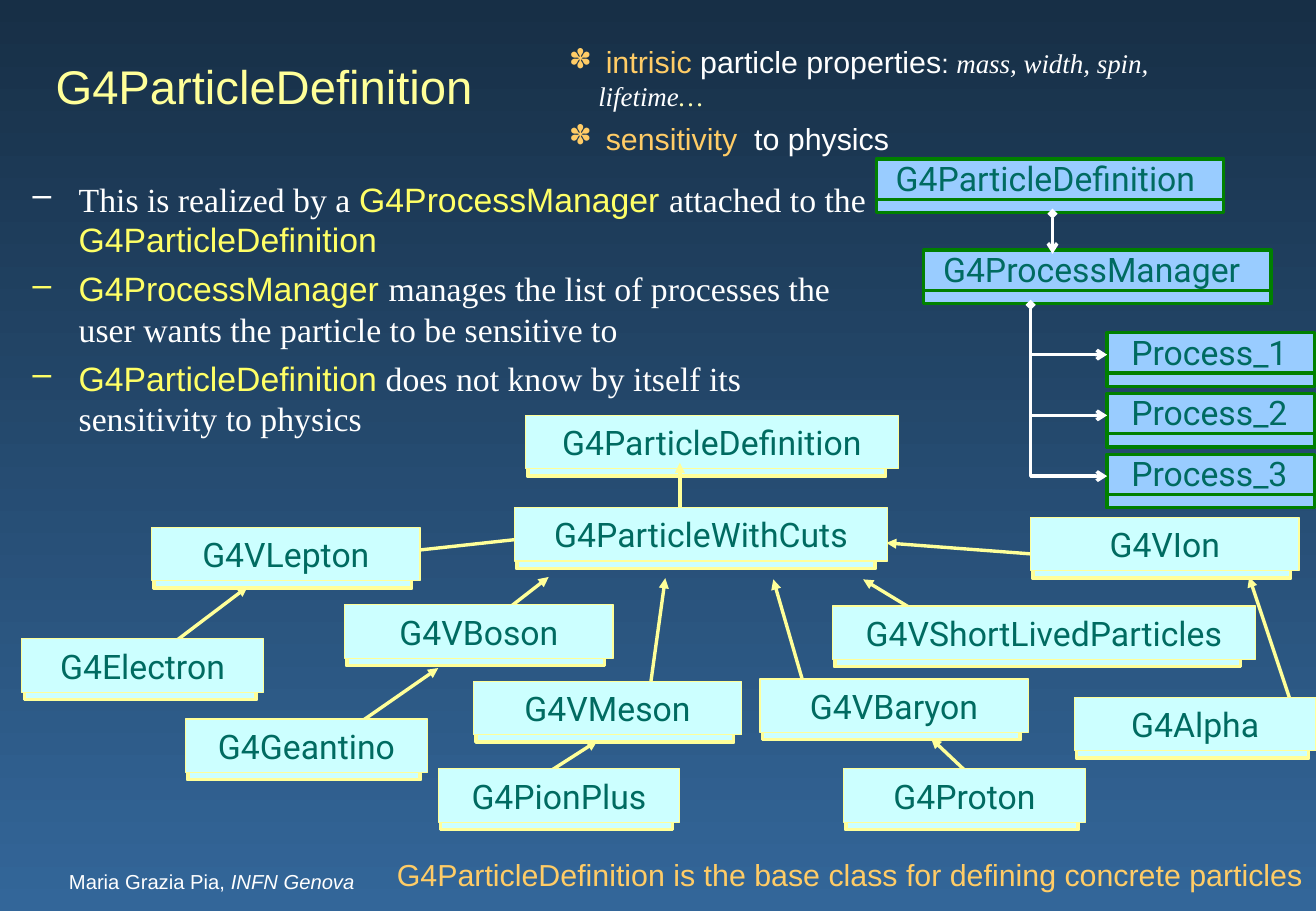
from dataclasses import dataclass

from lxml.etree import SubElement
from pptx import Presentation
from pptx.dml.color import RGBColor
from pptx.enum.shapes import MSO_CONNECTOR, MSO_SHAPE
from pptx.enum.text import MSO_ANCHOR, PP_ALIGN
from pptx.oxml.ns import qn
from pptx.util import Inches, Pt


@dataclass(frozen=True)
class Theme:
    """Colours, fonts and type sizes of the slide."""
    sky: str = "172F46"
    sea: str = "336699"
    white: str = "FFFFFF"
    title: str = "FFFF99"
    keyword: str = "FFFF66"
    accent: str = "FFCC66"
    ellipsis: str = "FFFFB3"
    class_text: str = "006B61"
    class_fill: str = "CCFFFF"
    class_line: str = "FFFF99"
    process_fill: str = "99CCFF"
    process_line: str = "008000"
    sans: str = "Arial"
    serif: str = "Times New Roman"
    label: str = "Roboto"
    title_size: int = 28
    body_size: int = 20
    point_size: int = 18
    detail_size: int = 16
    author_size: int = 12
    line: float = 2
    thin: float = 0.75


@dataclass(frozen=True)
class Box:
    """A rectangle in inches."""
    left: float
    top: float
    width: float
    height: float

    def inside(self, left, top, width, height):
        """Return a box placed relative to this one."""
        return Box(self.left + left, self.top + top, width, height)

    def point(self, left, top):
        """Return a point relative to this box as lengths."""
        return Inches(self.left + left), Inches(self.top + top)

    def lengths(self):
        """Return the four sides as lengths."""
        return [Inches(side) for side in (self.left, self.top, self.width, self.height)]


THEME = Theme()
FACE_HEIGHT = 0.44
STRIP_HEIGHT = 0.11


def assign(target, values):
    """Set each attribute named in values."""
    for name, value in values.items():
        setattr(target, name, value)


def style(size, font, color, **extra):
    """Return the format values of a span."""
    return {"size": Pt(size), "name": font, "color": color, **extra}


LABEL = style(THEME.body_size, THEME.label, THEME.class_text)


def write(para, spans):
    """Add styled spans to a paragraph."""
    for text, values in spans:
        span = para.add_run()
        span.text = text
        assign(span.font, {name: value for name, value in values.items() if name != "color"})
        span.font.color.rgb = RGBColor.from_string(values["color"])


def bullet(para, char, color, indent):
    """Give a paragraph a coloured bullet and a hanging indent."""
    props = para._p.get_or_add_pPr()
    props.set("marL", str(Inches(indent)))
    props.set("indent", str(-Inches(indent)))
    SubElement(SubElement(props, qn("a:buClr")), qn("a:srgbClr")).set("val", color)
    SubElement(props, qn("a:buChar")).set("char", char)


def add_text(shapes, box, paras, mark=None, indent=0, gap=0, wrap=True,
             anchor=MSO_ANCHOR.TOP, align=PP_ALIGN.LEFT):
    """Add a text box of (bullet colour, spans) paragraphs."""
    frame = shapes.add_textbox(*box.lengths()).text_frame
    assign(frame, {"word_wrap": wrap, "vertical_anchor": anchor})
    for index, (color, spans) in enumerate(paras):
        para = frame.add_paragraph() if index else frame.paragraphs[0]
        if mark:
            bullet(para, mark, color, indent)
        assign(para, {"alignment": align, "space_before": Pt(gap if index else 0)})
        write(para, spans)


def add_panel(shapes, box, fill, line, width=THEME.line):
    """Add a filled, outlined rectangle."""
    panel = shapes.add_shape(MSO_SHAPE.RECTANGLE, *box.lengths())
    panel.shadow.inherit = False
    panel.fill.solid()
    panel.fill.fore_color.rgb = RGBColor.from_string(fill)
    panel.line.color.rgb = RGBColor.from_string(line)
    panel.line.width = Pt(width)
    return panel


def finish_line(shape, color, ends):
    """Colour a line and add its end marks."""
    shape.line.color.rgb = RGBColor.from_string(color)
    shape.line.width = Pt(THEME.line)
    outline = shape.element.spPr.find(qn("a:ln"))
    for end, kind in ends.items():
        SubElement(outline, qn(f"a:{end}")).set("type", kind)


def add_arrow(shapes, start, end, color, **ends):
    """Add a straight line with end marks."""
    arrow = shapes.add_connector(MSO_CONNECTOR.STRAIGHT, *start, *end)
    finish_line(arrow, color, ends)
    SubElement(arrow.element.spPr, qn("a:effectLst"))


def add_process_box(shapes, box, name, inset):
    """Add a class box with a strip and a label."""
    strip = box.inside(0, FACE_HEIGHT - STRIP_HEIGHT, box.width, STRIP_HEIGHT)
    for part in (box, strip):
        add_panel(shapes, part, THEME.process_fill, THEME.process_line)
    label = box.inside(inset, -0.06, box.width - inset, FACE_HEIGHT)
    add_text(shapes, label, [(None, [(name, LABEL)])])


def add_process_diagram(page, area):
    """Draw the definition, its manager and the processes."""
    shapes = page.shapes.add_group_shape().shapes
    for name, left, top in (("G4ParticleDefinition", 0, 0), ("G4ProcessManager", 0.39, 0.75)):
        add_process_box(shapes, area.inside(left, top, 2.86, FACE_HEIGHT), name, 0.06)
    trunk, edge, first, step = 1.27, 1.9, 1.43, 0.5
    rows = [first + step * index for index in range(3)]
    for number, top in enumerate(rows, 1):
        add_process_box(shapes, area.inside(edge, top, 1.71, FACE_HEIGHT), f"Process_{number}", 0.1)
    middles = [top + 0.18 for top in rows]
    builder = shapes.build_freeform(*area.point(trunk, 1.2), scale=1.0)
    builder.add_line_segments([area.point(trunk, middles[-1]), area.point(edge, middles[-1])], close=False)
    elbow = builder.convert_to_shape()
    elbow.shadow.inherit = False
    elbow.fill.background()
    finish_line(elbow, THEME.white, {"headEnd": "diamond", "tailEnd": "arrow"})
    for middle in middles[:-1]:
        add_arrow(shapes, area.point(trunk, middle), area.point(edge, middle), THEME.white, tailEnd="arrow")
    add_arrow(shapes, area.point(1.45, 0.45), area.point(1.45, 0.78), THEME.white,
              headEnd="diamond", tailEnd="arrow")


def add_class_box(shapes, box, name):
    """Add a raised class box with its name."""
    back = box.inside(0.02, 0.06, box.width * 0.96, FACE_HEIGHT)
    strip = back.inside(0, FACE_HEIGHT - STRIP_HEIGHT, back.width, STRIP_HEIGHT)
    for part in (back, strip):
        add_panel(shapes, part, THEME.class_fill, THEME.class_line)
    frame = add_panel(shapes, box, THEME.class_fill, THEME.class_line, THEME.thin).text_frame
    assign(frame, {"word_wrap": True, "vertical_anchor": MSO_ANCHOR.MIDDLE})
    frame.paragraphs[0].alignment = PP_ALIGN.CENTER
    write(frame.paragraphs[0], [(name, LABEL)])


def add_class_tree(page, area):
    """Draw the inheritance tree, each tier's arrows below its boxes."""
    shapes = page.shapes.add_group_shape().shapes
    tiers = (
        (1.99, (("G4Electron", 0, 1.84, (1.08, 2), (1.86, 1.41)),
                ("G4Geantino", 1.35, 2.5, (2.71, 2.58), (3.43, 2.08)),
                ("G4PionPlus", 3.43, 2.91, (4.24, 3), (4.74, 2.68)),
                ("G4Proton", 6.77, 2.91, (7.85, 3), (7.49, 2.66)),
                ("G4Alpha", 8.67, 2.32, (10.47, 2.41), (10.11, 1.33)))),
        (3.07, (("G4ParticleDefinition", 4.15, 0, None, None),)),
        (2.21, (("G4VLepton", 1.07, 0.92, (2.71, 1.17), (4.18, 1.01)),
                ("G4VBoson", 2.66, 1.56, (3.8, 1.75), (4.34, 1.33)),
                ("G4VMeson", 3.72, 2.19, (5.15, 2.42), (5.3, 1.34)),
                ("G4VBaryon", 6.08, 2.17, (6.5, 2.42), (6.19, 1.35)),
                ("G4VIon", 8.31, 0.84, (8.31, 1.14), (7.12, 1.05)))),
        (3.48, (("G4VShortLivedParticles", 6.68, 1.57, (7.59, 1.75), (6.93, 1.35)),)),
        (3.07, (("G4ParticleWithCuts", 4.06, 0.76, (5.42, 0.94), (5.42, 0.39)),)),
    )
    for width, classes in tiers:
        for _, _, _, start, end in classes:
            if start:
                add_arrow(shapes, area.point(*start), area.point(*end), THEME.class_line, tailEnd="triangle")
        for name, left, top, _, _ in classes:
            add_class_box(shapes, area.inside(left, top, width, FACE_HEIGHT), name)


def add_texts(page, area):
    """Place the title, lists, author and closing line."""
    plain = style(THEME.body_size, THEME.serif, THEME.white)
    keyword = style(THEME.body_size, THEME.sans, THEME.keyword)
    point = style(THEME.point_size, THEME.sans, THEME.accent)
    white_point = {**point, "color": THEME.white}
    lead = style(THEME.detail_size, THEME.sans, THEME.accent)
    detail = style(THEME.detail_size, THEME.serif, THEME.white, italic=True)
    author = style(THEME.author_size, THEME.sans, THEME.white)
    add_text(page.shapes, area.inside(0.47, 7.11, 3.03, 0.3), [
        (None, [("Maria Grazia Pia,", author), (" INFN Genova", {**author, "italic": True})]),
    ], anchor=MSO_ANCHOR.MIDDLE)
    add_text(page.shapes, area.inside(0.17, 1.42, 7.13, 2.25), [
        (THEME.white, [("This is realized by a ", plain), ("G4ProcessManager ", keyword),
                       ("attached to the ", plain), ("G4ParticleDefinition", keyword)]),
        (THEME.keyword, [("G4ProcessManager ", keyword),
                         ("manages the list of processes the user wants the particle to be sensitive to", plain)]),
        (THEME.keyword, [("G4ParticleDefinition", keyword),
                         (" does not know by itself its sensitivity to physics", plain)]),
    ], mark="–", indent=0.38, gap=5)
    add_text(page.shapes, area.inside(0.36, 0.33, 5.15, 0.75), [
        (None, [("G4ParticleDefinition", style(THEME.title_size, THEME.sans, THEME.title))]),
    ], anchor=MSO_ANCHOR.MIDDLE)
    add_text(page.shapes, area.inside(4.59, 0.31, 5.83, 0.77), [
        (THEME.accent, [(" ", lead), ("intrisic ", point), ("particle properties", white_point),
                        (": ", {**lead, "color": THEME.white}), ("mass, width, spin, lifetime", detail),
                        ("…", {**detail, "color": THEME.ellipsis})]),
        (THEME.accent, [(" ", lead), ("sensitivity  ", point), ("to physics", white_point)]),
    ], mark="✽", indent=0.24, gap=4.5)
    add_text(page.shapes, area.inside(0.81, 7, 10.02, 0.5), [
        (None, [("G4ParticleDefinition is the base class for defining concrete particles", point)]),
    ], align=PP_ALIGN.RIGHT)


def paint_background(page):
    """Fill the background with a vertical gradient."""
    fill = page.background.fill
    fill.gradient()
    fill.gradient_angle = 270
    for stop, color, position in zip(fill.gradient_stops, (THEME.sky, THEME.sea), (0, 1)):
        stop.color.rgb = RGBColor.from_string(color)
        stop.position = position


def main():
    """Build and save the deck."""
    deck = Presentation()
    assign(deck, {"slide_width": Inches(10.84), "slide_height": Inches(7.5)})
    page = deck.slides.add_slide(deck.slide_layouts[6])
    paint_background(page)
    add_texts(page, Box(0, 0, 10.84, 7.5))
    add_process_diagram(page, Box(7.22, 1.31, 3.62, 2.87))
    add_class_tree(page, Box(0.18, 3.42, 10.66, 3.41))
    deck.save("out.pptx")


if __name__ == "__main__":
    main()
